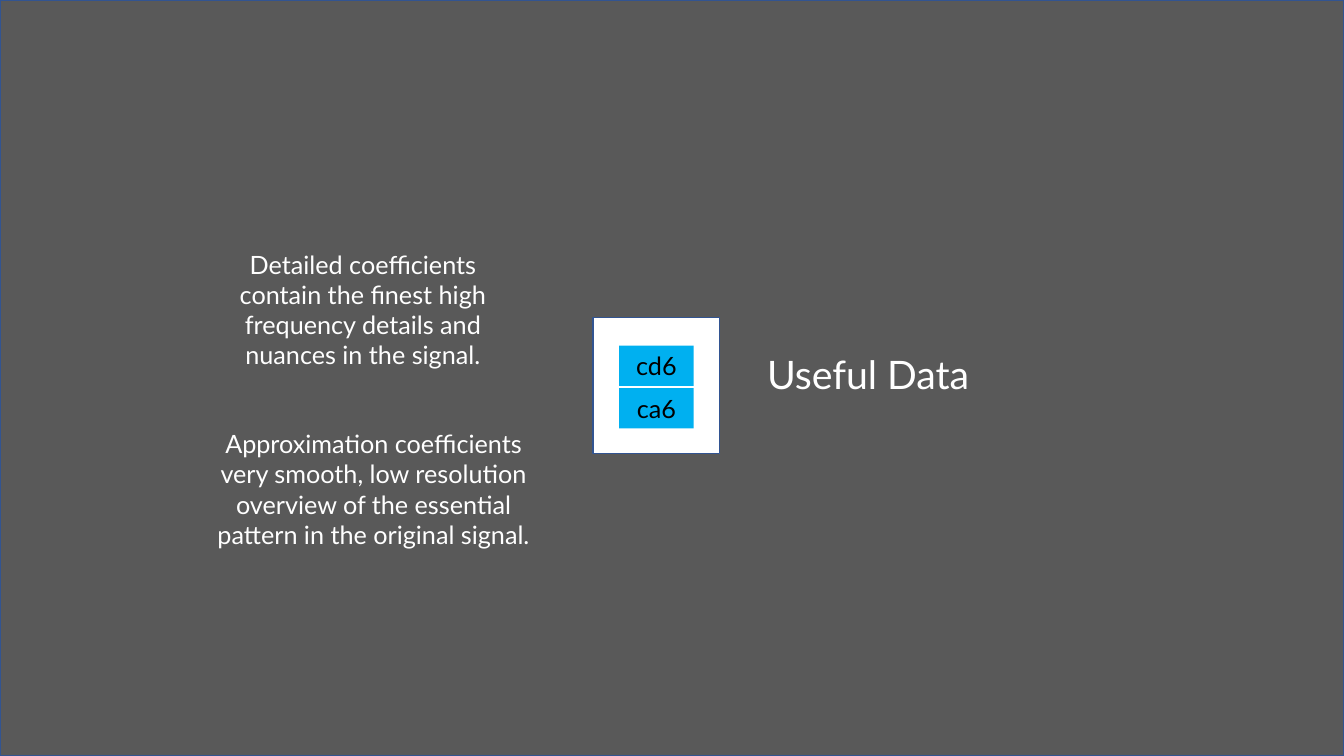
from dataclasses import dataclass

from pptx import Presentation
from pptx.dml.color import RGBColor
from pptx.enum.shapes import MSO_SHAPE
from pptx.enum.text import MSO_ANCHOR, MSO_AUTO_SIZE, PP_ALIGN
from pptx.shapes.autoshape import Shape
from pptx.slide import Slide
from pptx.util import Inches, Pt

RECTANGLE = MSO_SHAPE.RECTANGLE
CENTER = PP_ALIGN.CENTER
MIDDLE = MSO_ANCHOR.MIDDLE
TOP = MSO_ANCHOR.TOP
FIT_SHAPE = MSO_AUTO_SIZE.SHAPE_TO_FIT_TEXT

FONT = "Lato"
GREY, WHITE, BLACK = "595959", "FFFFFF", "000000"
SKY, NAVY = "00B0F0", "325491"
SLIDE_WIDTH, SLIDE_HEIGHT = 13.33, 7.5
BAND_TOP, BAND_PITCH = 3.43, 0.42


@dataclass
class Box:
    left: float
    top: float
    width: float
    height: float
    fill: str
    line: str | None = None
    text: str = ""


@dataclass
class Label:
    left: float
    top: float
    width: float
    height: float
    paragraphs: tuple[str, ...]
    size: int = 18
    wrap: bool = True


PANELS = [
    Box(0, 0, SLIDE_WIDTH, SLIDE_HEIGHT, GREY, NAVY),
    Box(5.88, 3.15, 1.26, 1.35, WHITE, NAVY),
]
COEFFICIENT_BANDS = [
    Box(6.14, BAND_TOP + index * BAND_PITCH, 0.74, 0.4, SKY, text=name)
    for index, name in enumerate(("cd6", "ca6"))
]
LABELS = [
    Label(7.48, 3.43, 2.26, 0.57, ("Useful Data",), size=28, wrap=False),
    Label(1.85, 2.42, 3.5, 1.31, (
        "Detailed coefficients",
        "contain the finest high frequency details and nuances in the signal.",
    )),
    Label(1.86, 4.2, 3.69, 1.31, (
        "Approximation coefficients",
        "very smooth, low resolution overview of the essential pattern "
        "in the original signal.",
    )),
]


def color(hex_value: str) -> RGBColor:
    return RGBColor.from_string(hex_value)


def write_text(shape: Shape, paragraphs: tuple[str, ...], size: int,
               font_color: str, frame_format: dict) -> None:
    frame = shape.text_frame
    frame.text = "\n".join(paragraphs)
    for name, value in frame_format.items():
        setattr(frame, name, value)
    for paragraph in frame.paragraphs:
        paragraph.alignment = CENTER
        font = paragraph.runs[0].font
        for name, value in {"name": FONT, "size": Pt(size)}.items():
            setattr(font, name, value)
        font.color.rgb = color(font_color)


def draw_box(slide: Slide, box: Box) -> None:
    shape = slide.shapes.add_shape(
        RECTANGLE, Inches(box.left), Inches(box.top),
        Inches(box.width), Inches(box.height))
    shape.shadow.inherit = False
    shape.fill.solid()
    shape.fill.fore_color.rgb = color(box.fill)
    if box.line:
        shape.line.color.rgb = color(box.line)
        shape.line.width = Pt(1)
    else:
        shape.line.fill.background()
    if box.text:
        write_text(shape, (box.text,), 18, BLACK, {
            "word_wrap": True, "auto_size": FIT_SHAPE,
            "vertical_anchor": MIDDLE})


def draw_label(slide: Slide, label: Label) -> None:
    text_box = slide.shapes.add_textbox(
        Inches(label.left), Inches(label.top),
        Inches(label.width), Inches(label.height))
    write_text(text_box, label.paragraphs, label.size, WHITE, {
        "word_wrap": label.wrap, "auto_size": FIT_SHAPE,
        "vertical_anchor": TOP})


def main() -> None:
    presentation = Presentation()
    presentation.slide_width = Inches(SLIDE_WIDTH)
    presentation.slide_height = Inches(SLIDE_HEIGHT)
    blank_layout = presentation.slide_layouts[6]
    slide = presentation.slides.add_slide(blank_layout)
    for box in PANELS + COEFFICIENT_BANDS:
        draw_box(slide, box)
    for label in LABELS:
        draw_label(slide, label)
    presentation.save("out.pptx")


if __name__ == "__main__":
    main()
